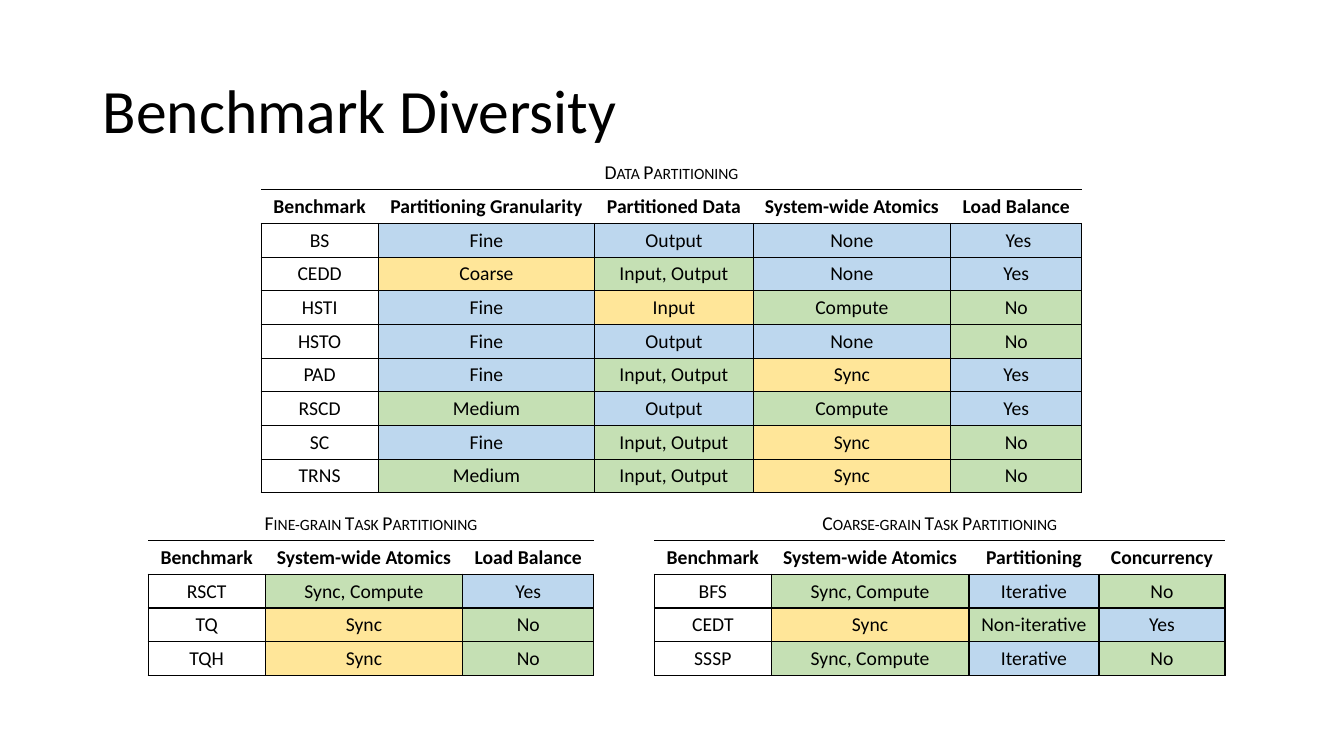
from lxml import etree
from pptx import Presentation
from pptx.dml.color import RGBColor
from pptx.enum.text import MSO_ANCHOR, PP_ALIGN
from pptx.oxml.ns import qn
from pptx.util import Inches, Pt

MIDDLE = MSO_ANCHOR.MIDDLE
CENTER = PP_ALIGN.CENTER

BLACK = RGBColor(0x00, 0x00, 0x00)
BLUE = RGBColor(0xBD, 0xD7, 0xEE)
GREEN = RGBColor(0xC5, 0xE0, 0xB4)
YELLOW = RGBColor(0xFF, 0xE6, 0x99)

# Each benchmark property always has the same colour
PROPERTY_FILLS = {
    **dict.fromkeys(["Fine", "Output", "None", "Yes", "Iterative"], BLUE),
    **dict.fromkeys(["Medium", "Input, Output", "Compute", "No",
                     "Sync, Compute", "Non-iterative"], GREEN),
    **dict.fromkeys(["Coarse", "Input", "Sync"], YELLOW),
}

# Grid unit, used for both columns and rows
UNIT = Inches(0.1)
PLAIN_TABLE_STYLE = "{2D5ABB26-0587-4C30-8999-92F81FD0307C}"

DATA_PARTITIONING = [
    ["Benchmark", "Partitioning Granularity", "Partitioned Data",
     "System-wide Atomics", "Load Balance"],
    ["BS", "Fine", "Output", "None", " Yes"],
    ["CEDD", "Coarse", "Input, Output", "None", "Yes"],
    ["HSTI", "Fine", "Input", "Compute", "No"],
    ["HSTO", "Fine", "Output", "None", "No"],
    ["PAD", "Fine", "Input, Output", "Sync", "Yes"],
    ["RSCD", "Medium", "Output", "Compute", "Yes"],
    ["SC", "Fine", "Input, Output", "Sync", "No"],
    ["TRNS", "Medium", "Input, Output", "Sync", "No"],
]
FINE_GRAIN = [
    ["Benchmark", "System-wide Atomics", "Load Balance"],
    ["RSCT", "Sync, Compute", "Yes"],
    ["TQ", "Sync", "No"],
    ["TQH", "Sync", "No"],
]
COARSE_GRAIN = [
    ["Benchmark", "System-wide Atomics", "Partitioning", "Concurrency"],
    ["BFS", "Sync, Compute", "Iterative", "No"],
    ["CEDT", "Sync", "Non-iterative", "Yes"],
    ["SSSP", "Sync, Compute", "Iterative", "No"],
]


def grid(units):
    return round(units * UNIT)


class BenchmarkSlide:
    font_name = "Calibri"
    title_size = 44
    table_size = 14
    row_height = 3.33

    def __init__(self, deck):
        self.page = deck.slides.add_slide(deck.slide_layouts[6])

    def add_text(self, paragraph, text, size, bold=False):
        paragraph.font.name = self.font_name
        paragraph.font.size = Pt(size)
        paragraph.font.bold = bold
        paragraph.font.color.rgb = BLACK
        span = paragraph.add_run()
        span.text = text
        return span

    def add_title(self, text, left, top, width, height):
        box = self.page.shapes.add_textbox(*map(grid, (left, top, width, height)))
        frame = box.text_frame
        frame.word_wrap = True
        frame.vertical_anchor = MIDDLE
        para = frame.paragraphs[0]
        para.line_spacing = 0.9
        self.add_text(para, text, self.title_size)

    def rule_cell(self, cell, ruled_sides):
        properties = cell._tc.get_or_add_tcPr()
        for side in "LRTB":
            line = etree.SubElement(properties, qn(f"a:ln{side}"), w=str(Pt(1)))
            if side in ruled_sides:
                fill = etree.SubElement(line, qn("a:solidFill"))
                etree.SubElement(fill, qn("a:srgbClr"), val=str(BLACK))
            else:
                etree.SubElement(line, qn("a:noFill"))

    def fill_cell(self, cell, text, ruled_sides, bold=False):
        self.rule_cell(cell, ruled_sides)
        color = PROPERTY_FILLS.get(text.strip())
        if color is None:
            cell.fill.background()
        else:
            cell.fill.solid()
            cell.fill.fore_color.rgb = color
        cell.vertical_anchor = MIDDLE
        para = cell.text_frame.paragraphs[0]
        para.alignment = CENTER
        return self.add_text(para, text, self.table_size, bold)

    def add_table(self, caption, rows, left, top, widths):
        row_count = len(rows) + 1
        table = self.page.shapes.add_table(
            row_count, len(widths), grid(left), grid(top),
            grid(sum(widths)), grid(row_count * self.row_height)).table
        table.first_row = table.horz_banding = False
        table._tbl.tblPr.find(qn("a:tableStyleId")).text = PLAIN_TABLE_STYLE
        for column, width in zip(table.columns, widths):
            column.width = grid(width)

        # Caption in small capitals across all columns
        caption_cell = table.cell(0, 0)
        caption_cell.merge(table.cell(0, len(widths) - 1))
        span = self.fill_cell(caption_cell, caption, "B")
        span.font._element.set("cap", "small")
        for column in range(1, len(widths)):
            self.rule_cell(table.cell(0, column), "B")

        # Header row, then boxed benchmark rows
        for row, texts in enumerate(rows, start=1):
            header = row == 1
            for column, text in enumerate(texts):
                self.fill_cell(table.cell(row, column), text,
                               "TB" if header else "LRTB", bold=header)


def main():
    deck = Presentation()
    deck.slide_width, deck.slide_height = Inches(13.33), Inches(7.5)
    slide = BenchmarkSlide(deck)

    slide.add_title("Benchmark Diversity", 9.2, 4, 115, 14.5)

    # Data partitioning on top, task partitioning side by side below
    slide.add_table("Data Partitioning", DATA_PARTITIONING,
                    25.9, 15.5, [11.6, 21.5, 15.7, 19.6, 13])
    slide.add_table("Fine-grain Task Partitioning", FINE_GRAIN,
                    14.7, 50.3, [11.6, 19.6, 13])
    slide.add_table("Coarse-grain Task Partitioning", COARSE_GRAIN,
                    64.9, 50.3, [11.6, 19.6, 12.9, 12.5])

    deck.save("out.pptx")


if __name__ == "__main__":
    main()
